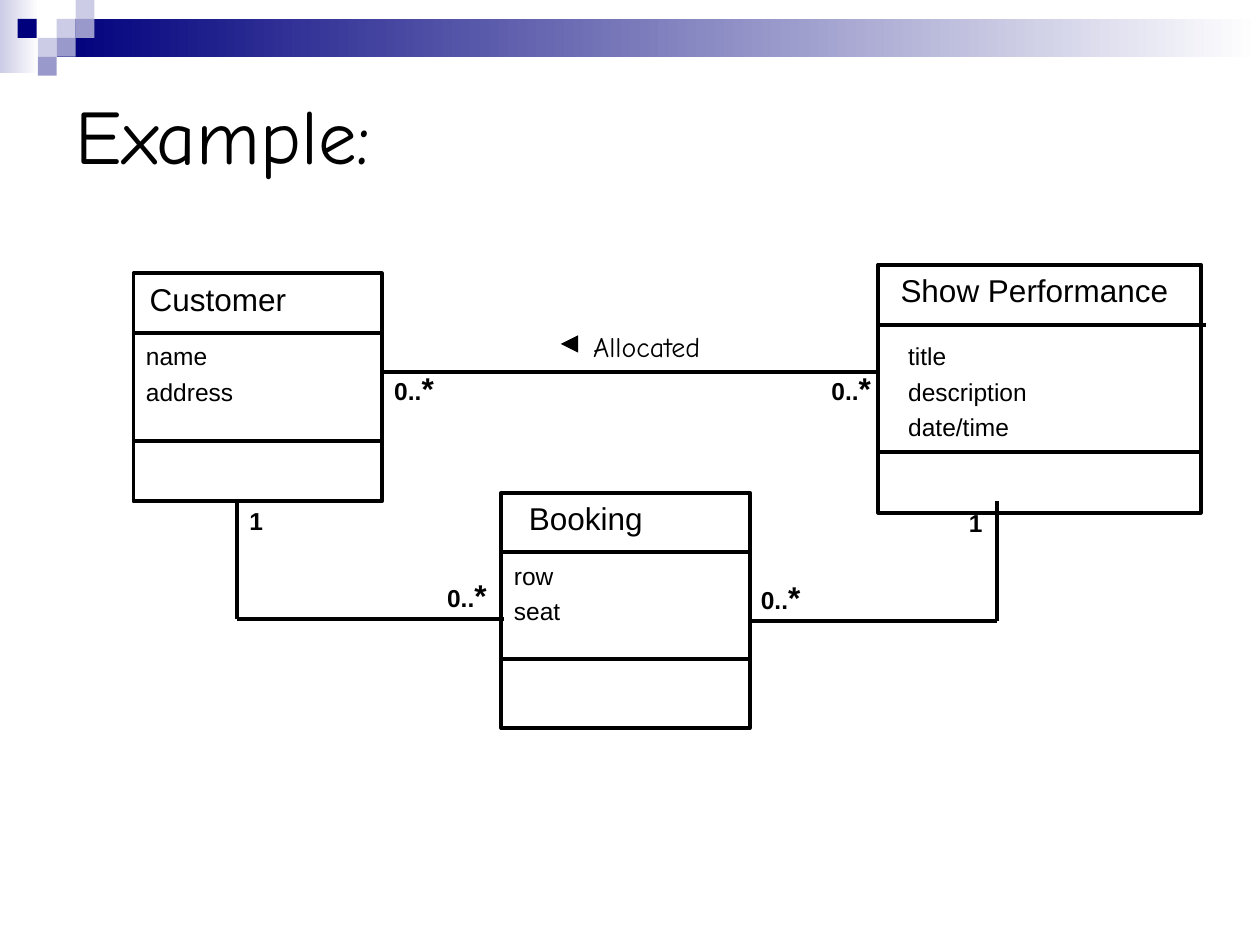
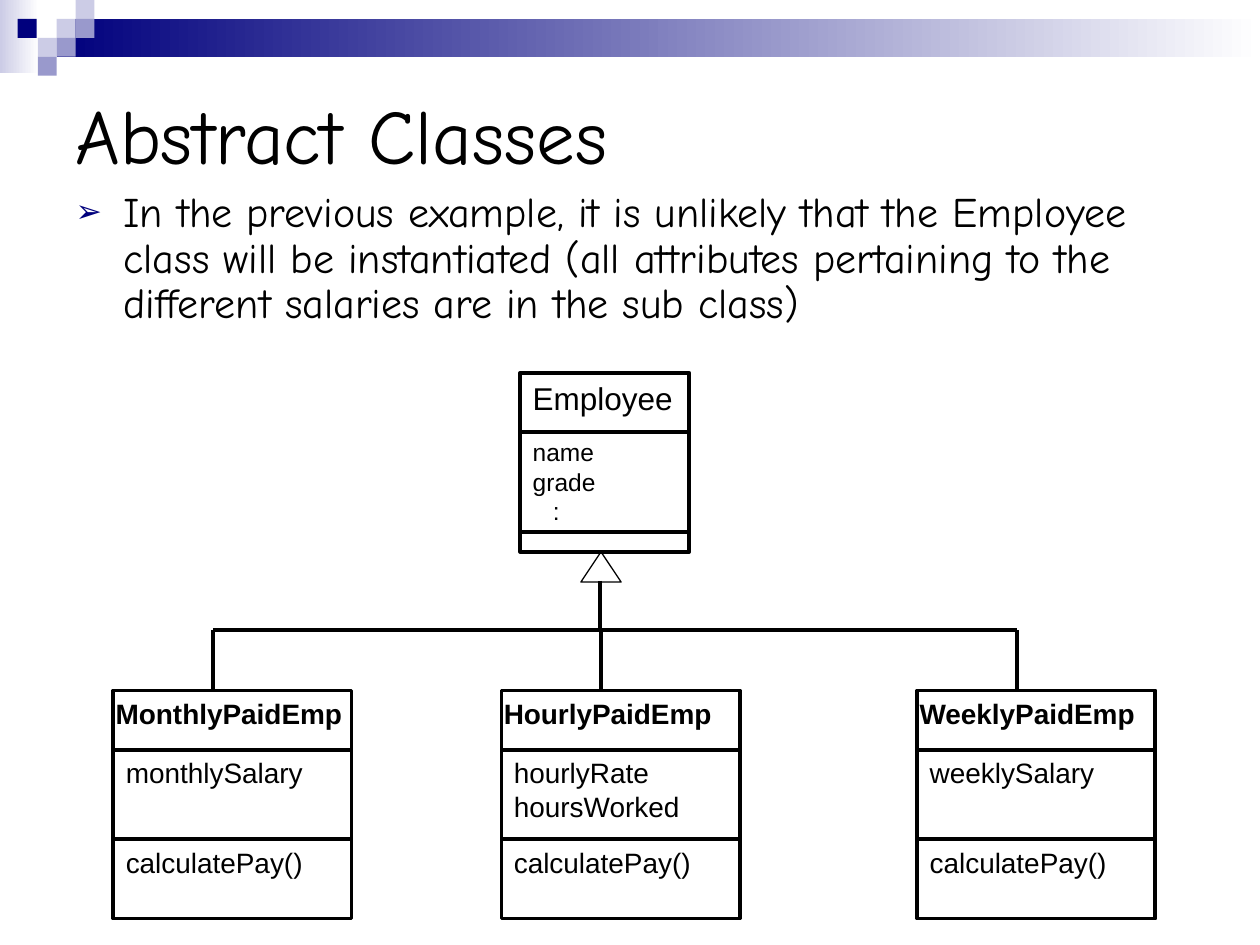
import pptx
import pptx.util
import pptx.dml.color
import pptx.enum.shapes
import pptx.enum.text
import pptx.oxml
import pptx.oxml.ns
from pptx.util import Inches

# ---- Content ----
BLACK, NAVY, MID, PALE, WHITE = "000000", "00007D", "9999CC", "CCCCE6", "FFFFFF"
SANS, HAND = "Arial", "Comic Neue"
LEFT, MIDDLE = pptx.enum.text.PP_ALIGN.LEFT, pptx.enum.text.PP_ALIGN.CENTER
THICK, THIN = 2.25, 0.75

# Bands: box, start colour fading to white; tiles: left, top, colour
BANDS = [((0, 0, 0.31, 0.58), PALE), ((0.45, 0.15, 9.55, 0.3), NAVY)]
TILE = 0.15
TILES = [(0.45, 0.15, PALE), (0.6, 0, PALE), (0.6, 0.15, MID), (0.3, 0.3, PALE),
         (0.14, 0.15, NAVY), (0.45, 0.3, MID), (0.3, 0.45, MID)]

TITLES = ["Example:", "Abstract Classes"]
BODY = ("In the previous example, it is unlikely that the Employee class will be "
        "instantiated (all attributes pertaining to the different salaries are in "
        "the sub class)")

# Class boxes: cuts are (down, left, wide) and parts are (left, down, wide, lines),
# all measured from the top left corner of the box
BOOKING = [
    {"name": "Booking", "at": (3.98, 3.91, 1.97, 1.87), "head": (-0.08, 1.5),
     "cuts": [(0.47, 0, 1.97), (1.32, 0, 1.97)],
     "parts": [(0, 0.49, 2.05, ["row", "seat"])]},
    {"name": "Show Performance", "at": (6.97, 2.1, 2.56, 1.97), "head": (-0.08, 2.64),
     "cuts": [(0.48, 0, 2.6), (1.49, -0.02, 2.6)],
     "parts": [(0.14, 0.56, 2.2, ["title", "description", "date/time"])]},
    {"name": "Customer", "at": (1.06, 2.17, 1.97, 1.81), "head": (-0.08, 1.5),
     "cuts": [(0.47, 0, 1.97), (1.33, 0, 1.97)],
     "parts": [(0, 0.49, 2.05, ["name", "address"])]},
]
LINKS = [(3.03, 2.95, 6.97, 2.95), (1.88, 3.97, 1.88, 4.91), (1.88, 4.91, 4, 4.91),
         (7.91, 3.98, 7.91, 4.93), (5.94, 4.93, 7.91, 4.93)]
MANY = [(3.03, 2.88), (6.5, 2.88), (3.45, 4.52), (5.94, 4.54)]
ONE = [(1.88, 3.97), (7.59, 3.98)]

STAFF = {"name": "Employee", "at": (4.13, 2.96, 1.34, 1.42), "head": (0, 1.34),
         "cuts": [(0.47, 0, 1.34), (1.26, 0, 1.34)],
         "parts": [(0, 0.46, 1.5, ["name", "grade", ":"])]}
PAID = [(0.9, "MonthlyPaidEmp", ["monthlySalary"]),
        (3.98, "HourlyPaidEmp", ["hourlyRate", "hoursWorked"]),
        (7.28, "WeeklyPaidEmp", ["weeklySalary"])]
PAY = ["calculatePay()"]
PAID_TOP, PAID_WIDE, PAID_HIGH, STEM = 5.48, 1.89, 1.81, 0.79
BUS, ROOT, TIP = 5, 4.76, 4.61  # tree: bar height, trunk, foot of the triangle


# ---- Helpers ----
def color(code):
    return pptx.dml.color.RGBColor.from_string(code)


def place(item, at):
    item.left, item.top, item.width, item.height = map(Inches, at)


def add_run(para, words, size, font=SANS, bold=False):
    run = para.add_run()
    run.text = words
    run.font.name, run.font.size = font, pptx.util.Pt(size)
    run.font.bold = bold
    run.font.color.rgb = color(BLACK)


def shape(slide, kind, at, fill=None, line=None, fade=False):
    item = slide.shapes.add_shape(kind, *map(Inches, at))
    item.shadow.inherit = False
    if fade:
        item.fill.gradient()
        item.fill.gradient_angle = 0
        for stop, code in zip(item.fill.gradient_stops, (fill, WHITE)):
            stop.color.rgb = color(code)
    elif fill:
        item.fill.solid()
        item.fill.fore_color.rgb = color(fill)
    else:
        item.fill.background()
    if line:
        item.line.color.rgb, item.line.width = color(BLACK), pptx.util.Pt(line)
    else:
        item.line.fill.background()
    return item


def line(slide, ends, width=THICK):
    item = slide.shapes.add_connector(pptx.enum.shapes.MSO_CONNECTOR.STRAIGHT,
                                      *map(Inches, ends))
    item.line.color.rgb, item.line.width = color(BLACK), pptx.util.Pt(width)
    pptx.oxml.ns  # namespaces for the effect list
    add_xml(item.element.spPr, "<a:effectLst %s/>")
    return item


def add_xml(parent, markup):
    node = pptx.oxml.parse_xml(markup % pptx.oxml.ns.nsdecls("a"))
    parent.append(node)


def text(slide, at, paras, gap, align=LEFT):
    """Each paragraph is a list of runs: (words, size, font, bold)."""
    box = slide.shapes.add_textbox(*map(Inches, at))
    frame = box.text_frame
    frame.word_wrap = True
    frame.auto_size = pptx.enum.text.MSO_AUTO_SIZE.SHAPE_TO_FIT_TEXT
    for i, runs in enumerate(paras):
        para = frame.add_paragraph() if i else frame.paragraphs[0]
        para.alignment, para.space_before = align, pptx.util.Pt(gap)
        for run in runs:
            add_run(para, *run)
    return box


def label(slide, at, runs, align=LEFT):
    biggest = max(run[1] for run in runs)
    return text(slide, at, [runs], round(biggest * 0.62, 1), align)


def class_box(slide, data, size=18, small=14, bold=False, gap=3.5, align=MIDDLE):
    left, top, wide, high = data["at"]
    shift, head = data["head"]
    label(slide, (left + shift, top, head, 0.4 if size == 18 else 0.37),
          [(data["name"], size, SANS, bold)], align)
    shape(slide, pptx.enum.shapes.MSO_SHAPE.RECTANGLE, data["at"], line=THICK)
    for down, dx, span in data["cuts"]:
        line(slide, (left + dx, top + down, left + dx + span, top + down))
    boxes = []
    for dx, down, span, lines in data["parts"]:
        tall = 0.1 + len(lines) * small / 60
        boxes.append(text(slide, (left + dx, top + down, span, tall),
                          [[(words, small)] for words in lines], gap))
    return boxes


def set_title(slide, words):
    title = slide.shapes.title
    place(title, (0.5, 0.5, 9, 1.12))
    frame = title.text_frame
    frame.auto_size = pptx.enum.text.MSO_AUTO_SIZE.NONE
    frame.vertical_anchor = pptx.enum.text.MSO_ANCHOR.MIDDLE
    frame.paragraphs[0].alignment = LEFT
    add_run(frame.paragraphs[0], words, 44, HAND)


def set_body(slide):
    body = slide.placeholders[1]
    place(body, (0.5, 1.47, 9.3, 1.34))
    body.text_frame.auto_size = pptx.enum.text.MSO_AUTO_SIZE.NONE
    para = body.text_frame.paragraphs[0]
    para.line_spacing, para.space_before = 0.9, pptx.util.Pt(6)
    props = para._p.get_or_add_pPr()
    props.set("marL", str(Inches(0.38)))
    props.set("indent", str(Inches(-0.38)))
    add_xml(props, f'<a:buClr %s><a:srgbClr val="{NAVY}"/></a:buClr>')
    add_xml(props, '<a:buSzPct %s val="75000"/>')
    add_xml(props, '<a:buChar %s char="➢"/>')
    add_run(para, BODY, 24, HAND)


def dress_master(deck, slide):
    """Draw the bands and tiles, then move them behind all else on the master."""
    kind = pptx.enum.shapes.MSO_SHAPE.RECTANGLE
    items = [shape(slide, kind, at, code, fade=True) for at, code in BANDS]
    items += [shape(slide, kind, (x, y, TILE, TILE), code) for x, y, code in TILES]
    tree = deck.slide_master.shapes.element
    for i, item in enumerate(items):
        item.element.nvSpPr.cNvPr.set("id", str(100 + i))
        tree.insert(2 + i, item.element)


# ---- Slides ----
def draw_example(slide):
    for data in BOOKING:
        class_box(slide, data)
    for ends in LINKS:
        line(slide, ends)
    for x, y in MANY:
        label(slide, (x, y, 0.55, 0.4), [("0..", 14, SANS, True), ("*", 18, SANS, True)])
    for x, y in ONE:
        label(slide, (x, y, 0.32, 0.34), [("1", 14, SANS, True)])
    label(slide, (4.61, 2.57, 1.26, 0.37), [("Allocated", 16, HAND)])
    arrow = line(slide, (4.45, 2.73, 4.53, 2.73), THIN)
    add_xml(arrow.line._get_or_add_ln(),
            '<a:headEnd %s type="triangle" w="lg" len="lg"/>')


def draw_tree(slide):
    fields = class_box(slide, STAFF, gap=0, align=LEFT)[0]
    dots = fields.text_frame.paragraphs[-1]._p.get_or_add_pPr()
    dots.set("marL", str(Inches(0.16)))
    for left, name, lines in PAID:
        data = {"name": name, "at": (left, PAID_TOP, PAID_WIDE, PAID_HIGH),
                "head": (-0.08, 2.13),
                "cuts": [(0.47, 0, PAID_WIDE), (1.18, 0, PAID_WIDE)],
                "parts": [(0, 0.47, 2.05, lines), (0, 1.18, 1.73, PAY)]}
        class_box(slide, data, 16, 16, True, 0, LEFT)
        stem = left + STEM
        line(slide, (stem, BUS, stem, PAID_TOP))
    line(slide, (PAID[0][0] + STEM, BUS, PAID[-1][0] + STEM, BUS))
    line(slide, (ROOT, TIP, ROOT, BUS))
    shape(slide, pptx.enum.shapes.MSO_SHAPE.ISOSCELES_TRIANGLE,
          (4.61, 4.38, 0.32, 0.24), line=THIN)
    set_body(slide)


def main():
    deck = pptx.Presentation()
    deck.slide_width, deck.slide_height = Inches(10), Inches(7.5)
    plans = [(5, draw_example), (1, draw_tree)]
    for words, (layout, draw) in zip(TITLES, plans):
        slide = deck.slides.add_slide(deck.slide_layouts[layout])
        set_title(slide, words)
        draw(slide)
    dress_master(deck, slide)
    deck.save("out.pptx")


if __name__ == "__main__":
    main()
